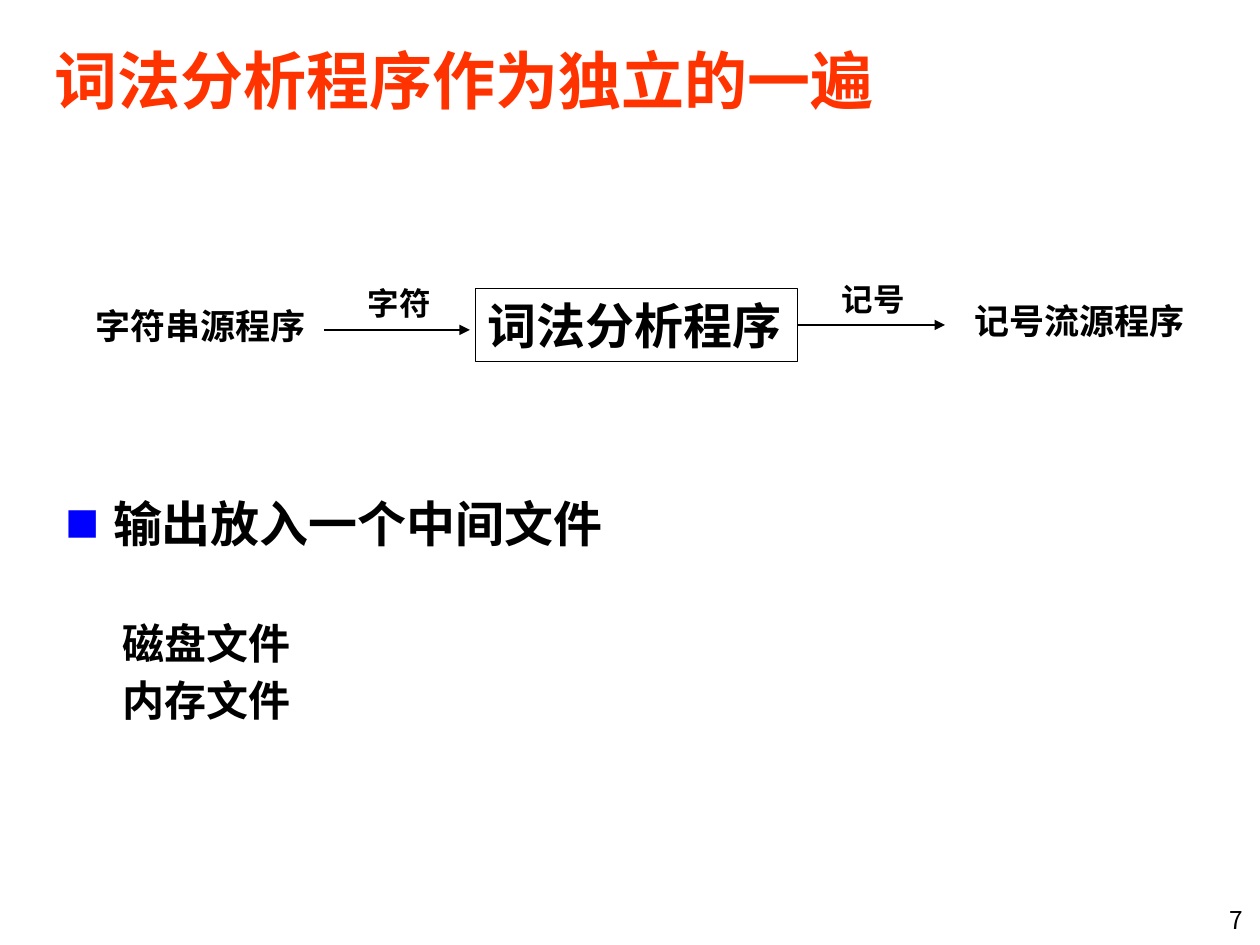
from pptx import Presentation
from pptx.dml.color import RGBColor
from pptx.enum.shapes import MSO_CONNECTOR, MSO_SHAPE
from pptx.enum.text import MSO_ANCHOR, PP_ALIGN
from pptx.oxml.ns import qn
from pptx.util import Cm, Pt
from lxml import etree

LEFT, CENTER, RIGHT = PP_ALIGN.LEFT, PP_ALIGN.CENTER, PP_ALIGN.RIGHT
TOP, MIDDLE = MSO_ANCHOR.TOP, MSO_ANCHOR.MIDDLE
SANS, SERIF = "Noto Sans CJK SC", "Times New Roman"
BLACK, RED, BLUE = "000000", "FF3300", "0000FF"


def add_text(paragraph, text, size, font=SANS, color=BLACK, bold=True):
    run = paragraph.add_run()
    run.text = text
    run.font.size = Pt(size)
    run.font.bold = bold
    run.font.name = font
    run.font.color.rgb = RGBColor.from_string(color)
    etree.SubElement(run._r.get_or_add_rPr(), qn("a:ea"), typeface=SANS)


def set_frame(shape, anchor=MIDDLE, wrap=True, align=LEFT):
    frame = shape.text_frame
    frame.word_wrap = wrap
    frame.vertical_anchor = anchor
    if anchor == MIDDLE:
        frame.margin_top = frame.margin_bottom = 0
    paragraph = frame.paragraphs[0]
    paragraph.alignment = align
    return paragraph


presentation = Presentation()
presentation.slide_width, presentation.slide_height = Cm(25.4), Cm(19.05)
slide = presentation.slides.add_slide(presentation.slide_layouts[6])
shapes = slide.shapes

# Title and slide number
title = shapes.add_textbox(Cm(0.84), Cm(0.43), Cm(23.93), Cm(2.34))
add_text(set_frame(title), "词法分析程序作为独立的一遍", 36, color=RED)
number = shapes.add_textbox(Cm(23.32), Cm(18.16), Cm(2), Cm(0.76))
add_text(set_frame(number, align=RIGHT), "7", 14, bold=False)

# Body: text, size, left margin, first-line indent, space before, line height
body = shapes.add_textbox(Cm(1.07), Cm(9.7), Cm(23.06), Cm(7.87))
paragraph = set_frame(body, anchor=TOP)
body_lines = [
    ("输出放入一个中间文件", 28, 0.96, -0.96, 0, 37),
    ("磁盘文件", 24, 1.16, 0, 33, 33),
    ("内存文件", 24, 1.16, 0, 0, 33),
]
for index, (text, size, margin, indent, before, height) in enumerate(body_lines):
    if index:
        paragraph = body.text_frame.add_paragraph()
    paragraph.space_before = Pt(before)
    paragraph.line_spacing = Pt(height)
    properties = paragraph._p.get_or_add_pPr()
    properties.set("marL", str(Cm(margin)))
    properties.set("indent", str(Cm(indent)))
    if indent:
        bullet_color = etree.SubElement(properties, qn("a:buClr"))
        etree.SubElement(bullet_color, qn("a:srgbClr"), val=BLUE)
        etree.SubElement(properties, qn("a:buSzPct"), val="70000")
        etree.SubElement(properties, qn("a:buFont"), typeface=SANS)
        etree.SubElement(properties, qn("a:buChar"), char="■")
    add_text(paragraph, text, size)

# Analyser box
analyser = shapes.add_shape(MSO_SHAPE.RECTANGLE, Cm(9.58), Cm(5.82), Cm(6.5), Cm(1.47))
analyser.shadow.inherit = False
analyser.fill.background()
analyser.line.color.rgb = RGBColor.from_string(BLACK)
analyser.line.width = Pt(0.75)
add_text(set_frame(analyser, wrap=False), "词法分析程序", 28, SERIF)

# Flow labels: text, size, left, top, width, height
flow_labels = [
    ("字符串源程序", 20, 1.65, 6.02, 4.78, 1.09),
    ("字符", 18, 7.16, 5.59, 1.78, 1.02),
    ("记号", 18, 16.71, 5.51, 1.78, 1.02),
    ("记号流源程序", 20, 19.38, 5.92, 4.78, 1.09),
]
for text, size, *box in flow_labels:
    label = shapes.add_textbox(*map(Cm, box))
    add_text(set_frame(label, wrap=False, align=CENTER), text, size, SERIF)

# Flow arrows
for start, end, y in [(6.53, 9.47, 6.65), (16.08, 19.05, 6.55)]:
    arrow = shapes.add_connector(MSO_CONNECTOR.STRAIGHT, Cm(start), Cm(y), Cm(end), Cm(y))
    arrow.line.color.rgb = RGBColor.from_string(BLACK)
    arrow.line.width = Pt(0.75)
    etree.SubElement(arrow.line._get_or_add_ln(), qn("a:tailEnd"), type="triangle")
    etree.SubElement(arrow._element.spPr, qn("a:effectLst"))

presentation.save("out.pptx")
